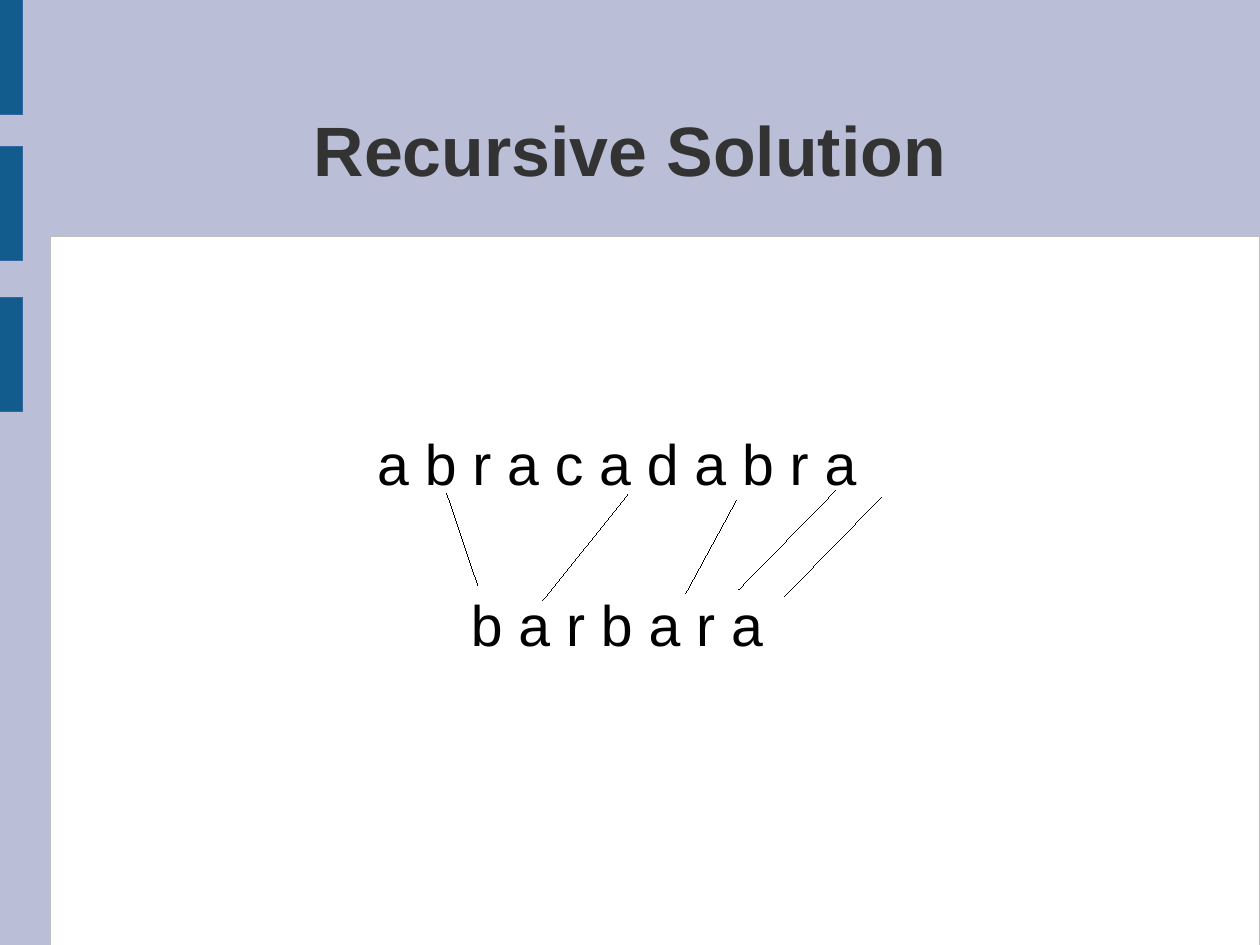
from pptx import Presentation
from pptx.dml.color import RGBColor
from pptx.enum.shapes import MSO_CONNECTOR, MSO_SHAPE
from pptx.enum.text import MSO_ANCHOR, MSO_AUTO_SIZE, PP_ALIGN
from pptx.oxml.ns import qn
from pptx.util import Inches, Pt
from lxml.etree import SubElement

LAVENDER = RGBColor(0xBA, 0xBE, 0xD6)
WHITE = RGBColor(0xFF, 0xFF, 0xFF)
SILVER = RGBColor(0xC0, 0xC0, 0xC0)
TEAL = RGBColor(0x12, 0x5C, 0x8D)
BLUE = RGBColor(0x34, 0x65, 0xA4)
CHARCOAL = RGBColor(0x33, 0x33, 0x33)
BLACK = RGBColor(0x00, 0x00, 0x00)

FONT = "Arial"
HAIRLINE = Pt(0.01)
CM_PER_INCH = 2.54
PAGE_WIDTH = Inches(28 / CM_PER_INCH)
PAGE_HEIGHT = Inches(21 / CM_PER_INCH)

STRIPE_TOPS = (0, 1.28, 2.6)
WORDS = (
    ("a b r a c a d a b r a", 3.3, 3.75, 4.2),
    ("b a r b a r a", 4.12, 5.16, 2.56),
)
MATCHES = (
    ((7.71, 4.35), (6.86, 5.22)),
    ((7.31, 4.29), (6.46, 5.16)),
    ((6.44, 4.38), (6, 5.19)),
    ((5.49, 4.33), (4.75, 5.25)),
    ((3.91, 4.32), (4.18, 5.12)),
)


def add_block(page, left, top, width, height, fill, outline):
    block = page.shapes.add_shape(
        MSO_SHAPE.RECTANGLE,
        Inches(left), Inches(top), Inches(width), Inches(height))
    block.shadow.inherit = False
    block.fill.solid()
    block.fill.fore_color.rgb = fill
    block.line.color.rgb = outline
    block.line.width = HAIRLINE


def write_text(frame, text, size, color, bold=False):
    """Fill a frame that has no margins with one line of text."""
    frame.margin_left = frame.margin_right = 0
    frame.margin_top = frame.margin_bottom = 0
    frame.text = text
    font = frame.paragraphs[0].runs[0].font
    font.name = FONT
    font.size = Pt(size)
    font.bold = bold
    font.color.rgb = color


def set_title(page, text):
    title = page.shapes.title
    title.left, title.top = Inches(0.81), Inches(0.61)
    title.width, title.height = Inches(9.41), Inches(1.38)
    frame = title.text_frame
    write_text(frame, text, 44, CHARCOAL, bold=True)
    frame.auto_size = MSO_AUTO_SIZE.NONE
    frame.vertical_anchor = MSO_ANCHOR.MIDDLE
    frame.paragraphs[0].alignment = PP_ALIGN.CENTER


def add_word(page, text, left, top, width):
    box = page.shapes.add_textbox(
        Inches(left), Inches(top), Inches(width), Inches(0.56))
    frame = box.text_frame
    frame.word_wrap = False
    frame.auto_size = MSO_AUTO_SIZE.SHAPE_TO_FIT_TEXT
    write_text(frame, text, 36, BLACK)


def add_match(page, start, end):
    """Draw the line between a letter and its counterpart below."""
    match = page.shapes.add_connector(
        MSO_CONNECTOR.STRAIGHT, *map(Inches, start + end))
    match.line.color.rgb = BLACK
    match.line.width = HAIRLINE
    SubElement(match._element.spPr, qn("a:effectLst"))


def main():
    deck = Presentation()
    deck.slide_width, deck.slide_height = PAGE_WIDTH, PAGE_HEIGHT
    page = deck.slides.add_slide(deck.slide_layouts.get_by_name("Title Only"))
    page.background.fill.solid()
    page.background.fill.fore_color.rgb = LAVENDER

    add_block(page, 0.44, 2.07, 10.58, 6.2, WHITE, SILVER)
    for top in STRIPE_TOPS:
        add_block(page, 0, top, 0.2, 1, TEAL, BLUE)
    set_title(page, "Recursive Solution")
    for word in WORDS:
        add_word(page, *word)
    for start, end in MATCHES:
        add_match(page, start, end)
    deck.save("out.pptx")


if __name__ == "__main__":
    main()
